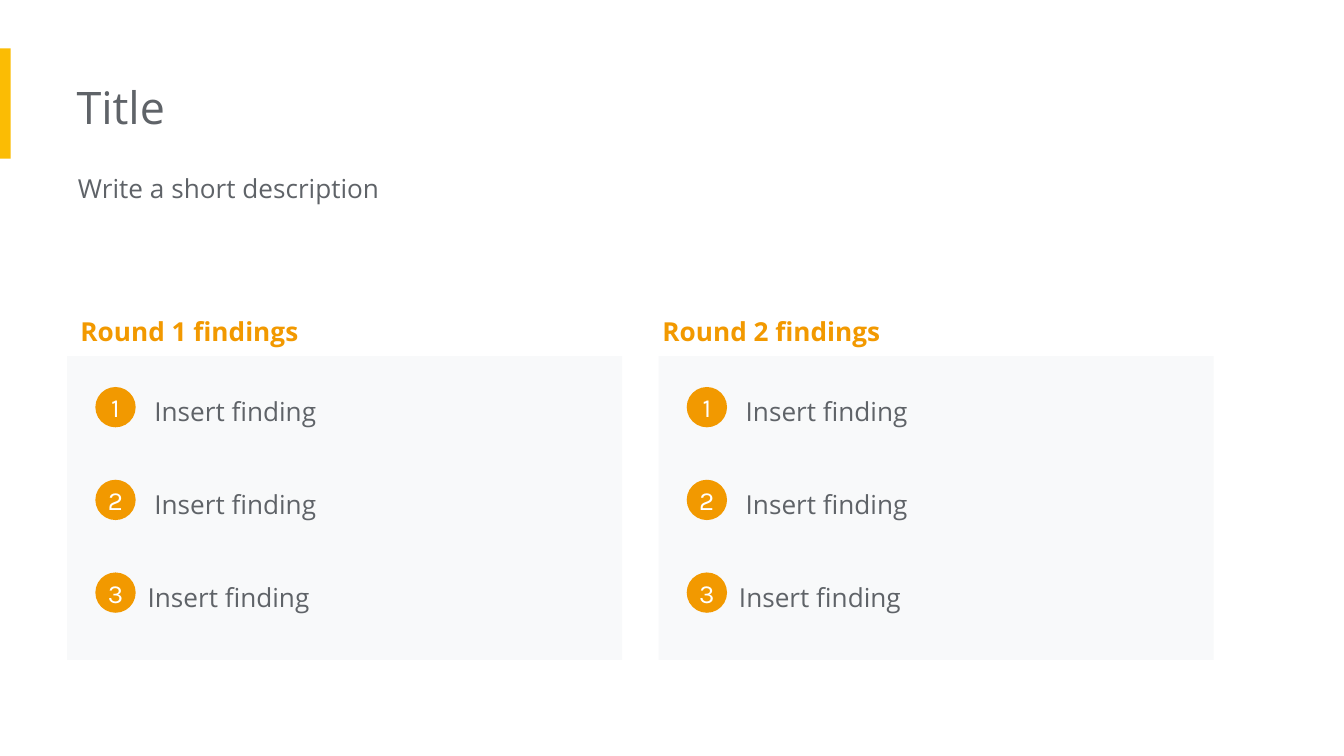
from typing import NamedTuple

from pptx import Presentation
from pptx.dml.color import RGBColor
from pptx.enum import shapes, text
from pptx.util import Inches, Pt

GREY, ORANGE, YELLOW = "5F6368", "F29900", "FBBC04"
PALE, WHITE = "F8F9FA", "FFFFFF"
KIND = shapes.MSO_SHAPE


class Box(NamedTuple):
    left: float
    top: float
    width: float
    height: float


class Style(NamedTuple):
    size: float = 14
    color: str = GREY
    font: str = "Open Sans"
    bold: bool = False
    space: float = 1.15


class Panel(NamedTuple):
    left: float
    head: float
    title: str
    items: tuple[str, ...]


BODY = Style()
TITLE = Style(size=24, space=1)
HEAD = Style(color=ORANGE, bold=True)
BADGE = Style(color=WHITE, font="Karla", space=1)

ITEMS = ("Insert finding",) * 3
PANELS = (
    Panel(0.5, 0.5, "Round 1 findings", ITEMS),
    Panel(4.9, 4.83, "Round 2 findings", ITEMS),
)
INDENTS = (0.55, 0.55, 0.5)
TOP, STEP = 2.65, 0.69


def paint(target, color: str) -> None:
    """Set the colour of a fill or a font."""
    if hasattr(target, "solid"):
        target.solid()
        target.fore_color.rgb = RGBColor.from_string(color)
    else:
        target.color.rgb = RGBColor.from_string(color)


def write(shape, words: str, style: Style, left: float, rest: float) -> None:
    """Fill a shape with one styled paragraph, with insets in inches."""
    frame = shape.text_frame
    frame.word_wrap = True
    frame.margin_left = Inches(left)
    frame.margin_top = frame.margin_right = frame.margin_bottom = Inches(rest)
    para = frame.paragraphs[0]
    para.text = words
    para.line_spacing = style.space
    para.font.name = style.font
    para.font.size = Pt(style.size)
    para.font.bold = style.bold
    paint(para.font, style.color)


def add_text(slide, box: Box, words: str, style: Style, left: float = 0.1) -> None:
    label = slide.shapes.add_textbox(*map(Inches, box))
    write(label, words, style, left, 0.1)
    label.text_frame.auto_size = text.MSO_AUTO_SIZE.SHAPE_TO_FIT_TEXT


def add_shape(slide, kind: KIND, box: Box, color: str):
    shape = slide.shapes.add_shape(kind, *map(Inches, box))
    shape.shadow.inherit = False
    paint(shape.fill, color)
    shape.line.fill.background()
    return shape


def add_badge(slide, left: float, top: float, number: int) -> None:
    dot = add_shape(slide, KIND.OVAL, Box(left, top, 0.3, 0.3), ORANGE)
    write(dot, str(number), BADGE, 0, 0)
    dot.text_frame.vertical_anchor = text.MSO_ANCHOR.MIDDLE
    dot.text_frame.paragraphs[0].alignment = text.PP_ALIGN.CENTER


def add_panel(slide, panel: Panel) -> None:
    add_shape(slide, KIND.RECTANGLE, Box(panel.left, TOP, 4.13, 2.26), PALE)
    add_text(slide, Box(panel.head, TOP - 0.44, 3.65, 0.44), panel.title, HEAD)
    for row, (item, indent) in enumerate(zip(panel.items, INDENTS)):
        top = TOP + 0.16 + row * STEP
        add_text(slide, Box(panel.left + indent, top, 3.65, 0.44), item, BODY)
        add_badge(slide, panel.left + 0.21, top + 0.07, row + 1)


def main() -> None:
    deck = Presentation()
    deck.slide_width = Inches(10)
    deck.slide_height = Inches(10 * 9 / 16)
    slide = deck.slides.add_slide(deck.slide_layouts[6])
    paint(slide.background.fill, WHITE)
    add_shape(slide, KIND.RECTANGLE, Box(0, 0.36, 0.08, 0.82), YELLOW)
    add_text(slide, Box(0.57, 0.49, 6.73, 0.61), "Title", TITLE, left=0)
    add_text(slide, Box(0.58, 1.15, 8.61, 0.47), "Write a short description", BODY, left=0)
    for panel in PANELS:
        add_panel(slide, panel)
    deck.save("out.pptx")


if __name__ == "__main__":
    main()
